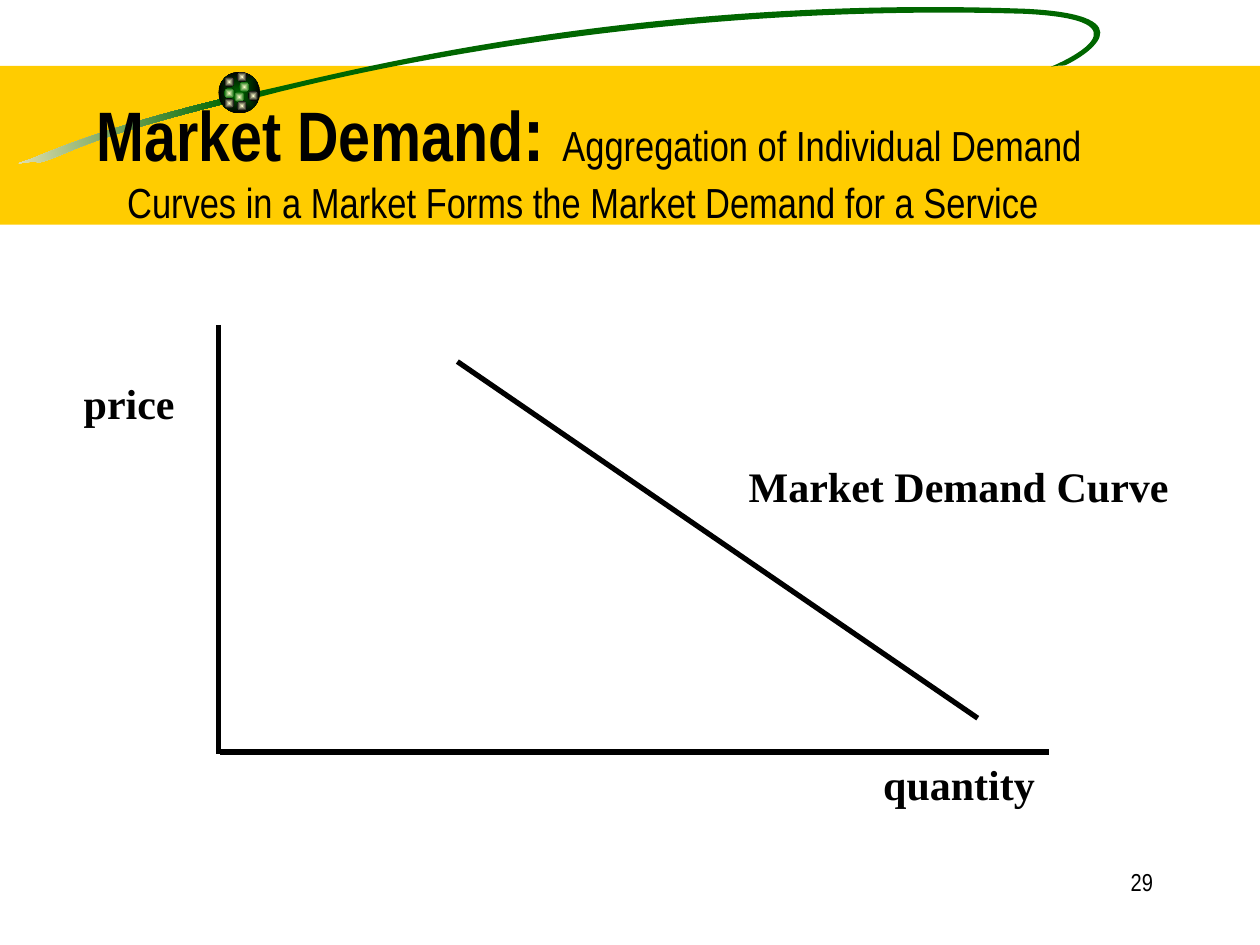
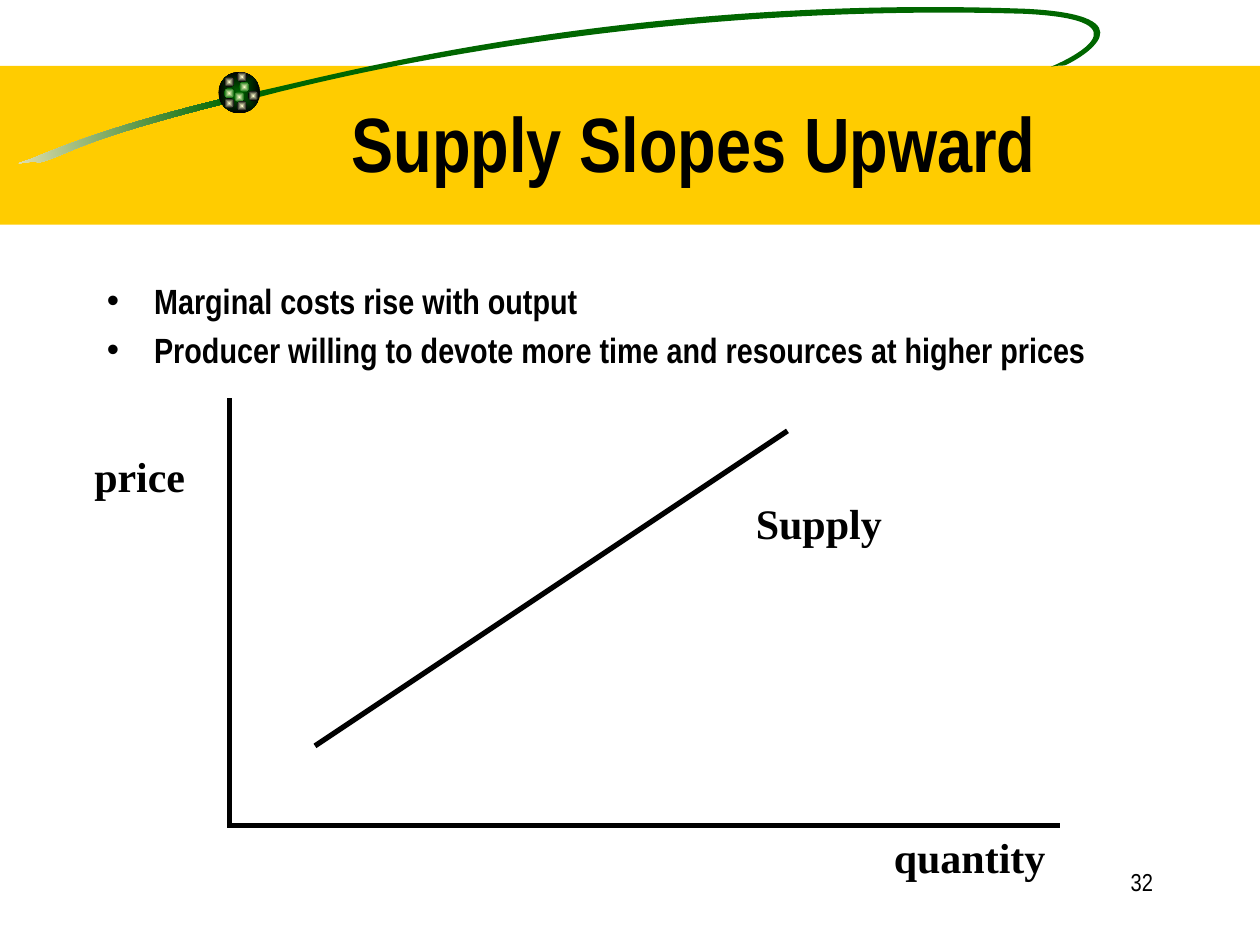
import math
from dataclasses import dataclass

from lxml import etree
from pptx import Presentation
from pptx import util as u
from pptx.dml.color import RGBColor
from pptx.enum import shapes, text
from pptx.oxml.ns import qn


# Theme: every colour, font and type size
@dataclass(frozen=True)
class Theme:
    ink: str = "000000"
    paper: str = "FFFFFF"
    band: str = "FFCC00"
    green: str = "006600"
    sand: str = "F5EBC1"
    glow: str = "FFFFCC"
    sans: str = "Arial Narrow"
    serif: str = "Times New Roman"
    title: int = 44
    lead: int = 40
    label: int = 24
    bullet: int = 20
    number: int = 14
    stroke: int = 3


THEME = Theme()
COLUMNS, ROWS = 100, 75  # grid laid over the whole slide
TILT = -8.5  # degrees by which the swoosh is turned

# Swoosh outlines: the middle, then a start point and cubic curves of three points
TAIL = (8.9, 10.6), [
    (17.8, 7.8),
    (9.1, 9.9), (4.9, 11.6), (2.5, 12.6),
    (0.1, 13.4), (2.6, 12.6), (3.1, 12.9),
    (5.7, 12.2), (5.7, 11.3), (17.9, 8.2),
    (17.9, 8.2), (17.8, 7.8), (17.8, 7.8)]
LOOP = (55.9, 3.95), [
    (20.2, 7.3),
    (24.6, 6.5), (48.6, -0.5), (81.4, 0.7),
    (91.7, 1.2), (85.7, 4.7), (84.5, 5.2),
    (84.5, 5.2), (83.8, 5.2), (83.4, 5.3),
    (84.4, 4.9), (91.7, 1.6), (81.3, 1.1),
    (54.8, 0.3), (32, 4.7), (20.6, 7.7),
    (20.6, 7.7), (20.2, 7.3), (20.2, 7.3)]

# Lights on the ball, by the colour they fade to
LIGHTS = {
    THEME.green: [(19, 6.5), (17.8, 7), (18.6, 7.3)],
    THEME.ink: [(17.8, 6.1), (19.7, 7.2), (18.8, 8), (17.8, 7.8), (18.8, 5.7)],
}


def apply(target, formats):
    for name, value in formats.items():
        setattr(target, name, value)


def turn(point, middle, degrees):
    """Turn a point clockwise about a middle."""
    cosine, sine = math.cos(math.radians(degrees)), math.sin(math.radians(degrees))
    across, down = point[0] - middle[0], point[1] - middle[1]
    return (middle[0] + across * cosine - down * sine,
            middle[1] + across * sine + down * cosine)


class Slides:
    def __init__(self, deck, theme):
        self.deck, self.theme, self.page = deck, theme, None

    # Grid
    def x(self, columns):
        return round(self.deck.slide_width * columns / COLUMNS)

    def y(self, rows):
        return round(self.deck.slide_height * rows / ROWS)

    def place(self, left, top, width, height):
        return self.x(left), self.y(top), self.x(width), self.y(height)

    # Shapes
    def paint(self, shape, colour, fade=None, radial=False, opacity=100):
        shape.shadow.inherit = False
        shape.line.fill.background()
        if fade is None:
            shape.fill.solid()
            shape.fill.fore_color.rgb = RGBColor.from_string(colour)
            if opacity < 100:
                solid = shape._element.spPr.find(qn("a:solidFill"))
                etree.SubElement(solid[0], qn("a:alpha"), {"val": str(opacity * 1000)})
            return
        shape.fill.gradient()
        shape.fill.gradient_angle = 0
        for stop, shade in zip(shape.fill.gradient_stops, (colour, fade)):
            stop.color.rgb = RGBColor.from_string(shade)
        if radial:
            gradient = shape._element.spPr.find(qn("a:gradFill"))
            gradient.remove(gradient.find(qn("a:lin")))
            radiation = etree.SubElement(gradient, qn("a:path"), {"path": "shape"})
            etree.SubElement(radiation, qn("a:fillToRect"), dict.fromkeys("ltrb", "50000"))

    def preset(self, kind, area, colour, fade=None, opacity=100):
        shape = self.page.shapes.add_shape(kind, *self.place(*area))
        self.paint(shape, colour, fade, radial=True, opacity=opacity)

    def swoosh(self, outline, colour, fade=None):
        middle, corners = outline
        level = [turn(corner, middle, -TILT) for corner in corners]
        points = [(self.x(column), self.y(row)) for column, row in level]
        builder = self.page.shapes.build_freeform(*points[0], scale=1.0)
        builder.add_line_segments(points[1:], close=True)
        shape = builder.convert_to_shape()
        # Join every three straight segments into one cubic curve
        segments = list(shape._element.iter(qn("a:lnTo")))
        for first in range(0, len(corners) - 1, 3):
            curve, *others = segments[first:first + 3]
            for other in others:
                curve.append(other[0])
                other.getparent().remove(other)
            curve.tag = qn("a:cubicBezTo")
        shape.rotation = TILT
        self.paint(shape, colour, fade)

    def line(self, start, end):
        line = self.page.shapes.add_connector(
            shapes.MSO_CONNECTOR.STRAIGHT, self.x(start[0]), self.y(start[1]),
            self.x(end[0]), self.y(end[1]))
        line.line.color.rgb = RGBColor.from_string(self.theme.ink)
        line.line.width = u.Pt(self.theme.stroke)
        etree.SubElement(line._element.spPr, qn("a:effectLst"))

    # Text
    def box(self, area, **formats):
        box = self.page.shapes.add_textbox(*self.place(*area))
        apply(box.text_frame, {"word_wrap": True, **formats})
        return box.text_frame

    def span(self, para, words, size, bold=True, name=None):
        span = para.add_run()
        span.text = words
        apply(span.font, {"size": u.Pt(size), "bold": bold, "name": name or self.theme.sans})
        span.font.color.rgb = RGBColor.from_string(self.theme.ink)

    def title(self, area, lines, indent=0, **formats):
        para = self.box(area, **formats).paragraphs[0]
        para.alignment = text.PP_ALIGN.CENTER
        para._p.get_or_add_pPr().set("indent", str(self.x(indent)))
        for index, spans in enumerate(lines):
            if index:
                para.add_line_break()
            for words, size, bold in spans:
                self.span(para, words, size, bold)

    def label(self, area, words):
        frame = self.box(area, word_wrap=False, auto_size=text.MSO_AUTO_SIZE.SHAPE_TO_FIT_TEXT)
        self.span(frame.paragraphs[0], words, self.theme.label, name=self.theme.serif)

    def bullets(self, area, items):
        frame = self.box(area)
        for index, words in enumerate(items):
            para = frame.add_paragraph() if index else frame.paragraphs[0]
            para.space_before = u.Pt(self.theme.bullet * 0.2)
            properties = para._p.get_or_add_pPr()
            indent = self.x(3.75)
            properties.set("marL", str(indent))
            properties.set("indent", str(-indent))
            etree.SubElement(properties, qn("a:buFont"), {"typeface": "Arial"})
            etree.SubElement(properties, qn("a:buChar"), {"char": "•"})
            self.span(para, words, self.theme.bullet)

    # Parts shared by the slides
    def start(self, number):
        theme, kinds = self.theme, shapes.MSO_SHAPE
        self.page = self.deck.slides.add_slide(self.deck.slide_layouts[6])
        self.preset(kinds.RECTANGLE, (0, 5.24, COLUMNS, 12.6), theme.band)
        self.swoosh(TAIL, theme.sand, theme.green)
        self.swoosh(LOOP, theme.green)
        self.preset(kinds.OVAL, (17.34, 5.7, 3.3, 3.3), theme.green, theme.ink)
        for fade, corners in LIGHTS.items():
            for left, top in corners:
                self.preset(kinds.OVAL, (left, top, 0.8, 0.8), theme.glow, fade)
        self.preset(kinds.RECTANGLE, (7.4, 20.6, 12.2, 54.4), theme.paper, opacity=50)
        para = self.box((71.7, 68.3, 20.8, 5)).paragraphs[0]
        para.alignment = text.PP_ALIGN.RIGHT
        self.span(para, str(number), theme.number, bold=False)

    def axes(self, left, base):
        """Price and quantity axes that meet at the given grid point."""
        self.line((left + 0.1, base), (left + 65.9, base))
        self.line((left, base - 33.9), (left, base + 0.2))
        self.label((left - 11.7, base - 30.2, 10.1, 5), "price ")
        self.label((left + 51.75, base, 14.1, 5), "quantity")


deck = Presentation()
deck.slide_width, deck.slide_height = u.Inches(10), u.Inches(7.5)
slides = Slides(deck, THEME)

# Market demand
slides.start(29)
slides.title(
    (-2.5, -0.1, 97.5, 18.2),
    [[("Market Demand", THEME.lead, True), (": ", THEME.title, True),
      ("Aggregation of Individual Demand", THEME.label, False)],
     [("Curves in a Market Forms the Market Demand for a Service", THEME.label, False)]],
    indent=1, vertical_anchor=text.MSO_ANCHOR.BOTTOM, margin_bottom=u.Inches(0.01))
slides.axes(17.36, 59.68)
slides.line((36.3, 28.7), (77.6, 57))
slides.label((58.44, 36.04, 35.3, 5), "Market Demand Curve")

# Supply
slides.start(32)
slides.title((12.6, 5, 85, 12.5), [[("Supply Slopes Upward", THEME.title, True)]],
             vertical_anchor=text.MSO_ANCHOR.MIDDLE)
slides.axes(18.2, 65.5)
slides.line((25, 59.2), (62.5, 34.2))
slides.label((59, 39, 12, 5), "Supply")
slides.bullets((7.5, 21.7, 85, 45), [
    "Marginal costs rise with output",
    "Producer willing to devote more time and resources at higher prices"])

deck.save("out.pptx")
